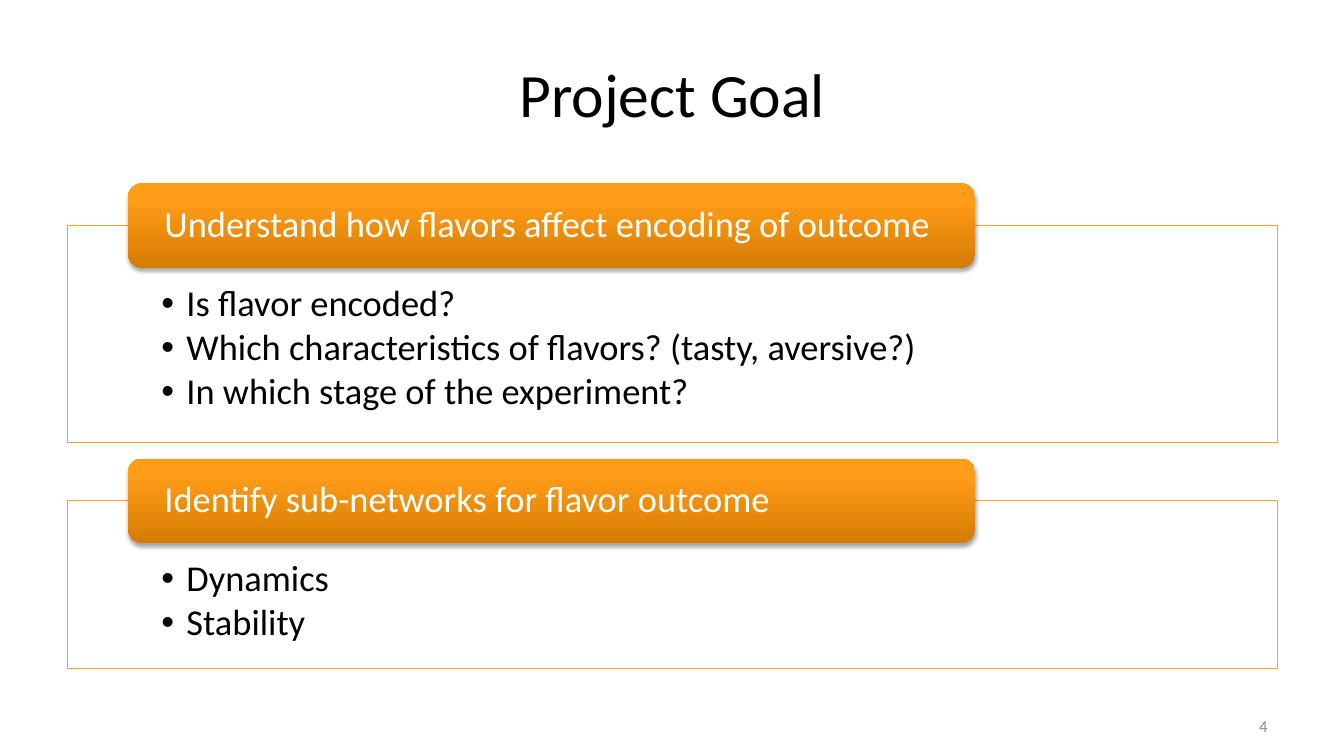
from copy import deepcopy

from lxml import etree
from pptx import Presentation
from pptx import util as u
from pptx.dml.color import RGBColor
from pptx.enum import shapes, text
from pptx.oxml import ns

BLACK = RGBColor(0x00, 0x00, 0x00)
WHITE = RGBColor(0xFF, 0xFF, 0xFF)
GRAY = RGBColor(0x8C, 0x8C, 0x8C)
ORANGE = RGBColor(0xFD, 0xA0, 0x23)
GRADIENT = [
    (0, RGBColor(0xD5, 0x7B, 0x02)),
    (0.8, RGBColor(0xFF, 0x9C, 0x18)),
    (1, RGBColor(0xFF, 0x9D, 0x19)),
]

MARGIN, WIDTH = 0.67, 12
HEADER_INDENT, HEADER_W, HEADER_H = 0.6, 8.4, 0.84
HEADER_RISE = 0.42

GOALS = [
    (2.24, 2.15, "Understand how flavors affect encoding of outcome",
     ["Is flavor encoded?",
      "Which characteristics of flavors? (tasty, aversive?)",
      "In which stage of the experiment?"]),
    (4.97, 1.66, "Identify sub-networks for flavor outcome",
     ["Dynamics", "Stability"]),
]


def set_format(target, values):
    for name, value in values.items():
        setattr(target, name, value)


def write(sp, lines, size, color, frame, para):
    """Fill a shape with paragraphs in one format."""
    tf = sp.text_frame
    set_format(tf, {"word_wrap": True, **frame})
    for i, line in enumerate(lines):
        p = tf.add_paragraph() if i else tf.paragraphs[0]
        set_format(p, para)
        r = p.add_run()
        r.text = line
        set_format(r.font, {"name": "Calibri", "size": u.Pt(size)})
        r.font.color.rgb = color
    return tf


def insets(left, top, bottom):
    return {"margin_left": u.Inches(left), "margin_right": u.Inches(left),
            "margin_top": u.Inches(top), "margin_bottom": u.Inches(bottom)}


def add_bullet(p):
    pPr = p._p.get_or_add_pPr()
    pPr.set("marL", str(u.Inches(0.25)))
    pPr.set("indent", str(u.Inches(-0.25)))
    etree.SubElement(pPr, ns.qn("a:buFont"), typeface="Arial")
    etree.SubElement(pPr, ns.qn("a:buChar"), char="•")


def add_gradient(sp):
    sp.fill.gradient()
    sp.fill.gradient_angle = 90
    stop_list = sp._element.spPr.find(".//" + ns.qn("a:gsLst"))
    stop_list.append(deepcopy(stop_list[-1]))
    for stop, (position, color) in zip(sp.fill.gradient_stops, GRADIENT):
        stop.position = position
        stop.color.rgb = color


def add_shadow(sp):
    effects = sp._element.spPr.find(ns.qn("a:effectLst"))
    shadow = etree.SubElement(
        effects, ns.qn("a:outerShdw"), blurRad=str(u.Pt(3.1)),
        dist=str(u.Pt(1.8)), dir="5400000", rotWithShape="0")
    color = etree.SubElement(shadow, ns.qn("a:srgbClr"), val=str(BLACK))
    etree.SubElement(color, ns.qn("a:alpha"), val="35000")


def add_shape(slide, kind, x, y, w, h):
    sp = slide.shapes.add_shape(kind, *map(u.Inches, (x, y, w, h)))
    sp.shadow.inherit = False
    return sp


def add_label(slide, box, line, size, color, align):
    """Title or page number."""
    sp = slide.shapes.add_textbox(*map(u.Inches, box))
    write(sp, [line], size, color,
          {"vertical_anchor": text.MSO_ANCHOR.MIDDLE}, {"alignment": align})


def add_goal(slide, x, y, w, h, heading, points):
    """Outlined panel with bullets and a header tab over its top edge."""
    para = {"alignment": text.PP_ALIGN.LEFT, "line_spacing": 0.9}

    # Panel
    panel = add_shape(slide, shapes.MSO_SHAPE.RECTANGLE, x, y, w, h)
    panel.fill.solid()
    panel.fill.fore_color.rgb = WHITE
    panel.line.color.rgb = ORANGE
    panel.line.width = u.Pt(0.75)
    tf = write(panel, points, 26, BLACK,
               {"vertical_anchor": text.MSO_ANCHOR.TOP,
                **insets(0.93, 0.59, 0.2)},
               {**para, "space_after": u.Pt(3.3)})
    for p in tf.paragraphs:
        add_bullet(p)

    # Header tab
    tab = add_shape(slide, shapes.MSO_SHAPE.ROUNDED_RECTANGLE,
                    x + HEADER_INDENT, y - HEADER_RISE, HEADER_W, HEADER_H)
    add_gradient(tab)
    tab.line.fill.background()
    add_shadow(tab)
    write(tab, [heading], 26, WHITE,
          {"vertical_anchor": text.MSO_ANCHOR.MIDDLE, **insets(0.32, 0, 0)},
          para)


def main():
    prs = Presentation()
    prs.slide_width, prs.slide_height = u.Inches(13.33), u.Inches(7.5)
    slide = prs.slides.add_slide(prs.slide_layouts[6])

    add_label(slide, (MARGIN, 0.3, WIDTH, 1.25), "Project Goal", 44, BLACK,
              text.PP_ALIGN.CENTER)
    for y, h, heading, points in GOALS:
        add_goal(slide, MARGIN, y, WIDTH, h, heading, points)
    add_label(slide, (9.56, 7, 3.11, 0.4), "4", 12, GRAY,
              text.PP_ALIGN.RIGHT)

    prs.save("out.pptx")


if __name__ == "__main__":
    main()
